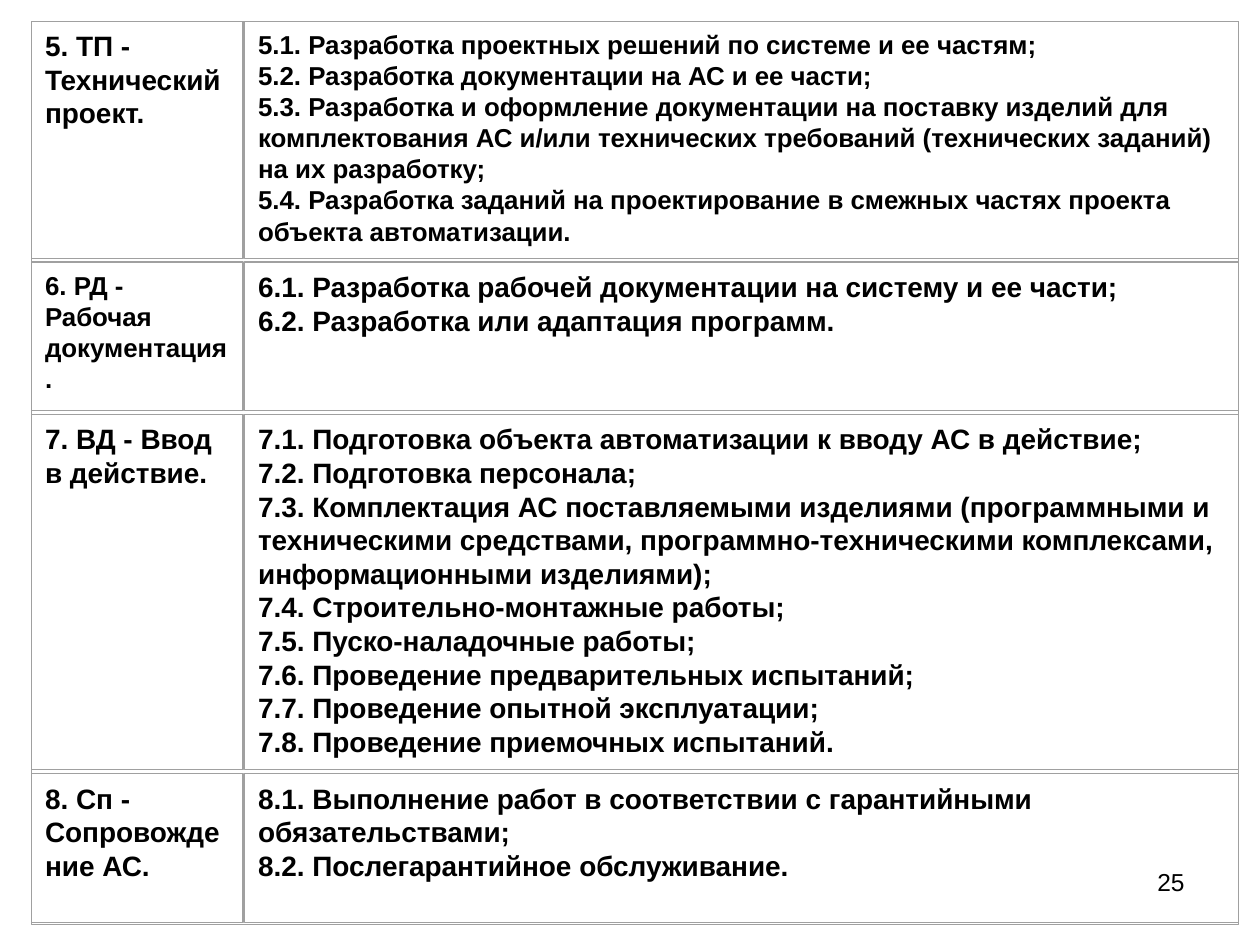
from pptx import Presentation
from pptx.dml.color import RGBColor
from pptx.enum.shapes import MSO_SHAPE
from pptx.enum.text import PP_ALIGN
from pptx.util import Inches, Pt

RECTANGLE = MSO_SHAPE.RECTANGLE
LEFT, RIGHT = PP_ALIGN.LEFT, PP_ALIGN.RIGHT
BLACK = RGBColor(0x00, 0x00, 0x00)
GREY = RGBColor(0xA0, 0xA0, 0xA0)
FONT = "Arial"
BLANK_LAYOUT = 6

# Grid of the stage table, in inches
TABLE_LEFT, TABLE_TOP = 0.25, 0.17
TABLE_WIDTH, TABLE_HEIGHT = 9.58, 7.17
COLUMN_WIDTHS, COLUMN_GAP = (1.68, 7.89), 0.01
ROW_GAP = 0.03
TEXT_INSET = 0.01

# Row height, then text size and lines for each of the two cells
STAGES = [
    (1.88, (16, ["5. ТП - Технический проект."]), (14.8, [
        "5.1. Разработка проектных решений по системе и ее частям;",
        "5.2. Разработка документации на АС и ее части;",
        "5.3. Разработка и оформление документации на поставку изделий для "
        "комплектования АС и/или технических требований (технических заданий) "
        "на их разработку;",
        "5.4. Разработка заданий на проектирование в смежных частях проекта "
        "объекта автоматизации.",
    ])),
    (1.18, (14.8, ["6. РД - Рабочая документация."]), (16, [
        "6.1. Разработка рабочей документации на систему и ее части;",
        "6.2. Разработка или адаптация программ.",
    ])),
    (2.82, (16, ["7. ВД - Ввод в действие."]), (16, [
        "7.1. Подготовка объекта автоматизации к вводу АС в действие;",
        "7.2. Подготовка персонала;",
        "7.3. Комплектация АС поставляемыми изделиями (программными и "
        "техническими средствами, программно-техническими комплексами, "
        "информационными изделиями);",
        "7.4. Строительно-монтажные работы;",
        "7.5. Пуско-наладочные работы;",
        "7.6. Проведение предварительных испытаний;",
        "7.7. Проведение опытной эксплуатации;",
        "7.8. Проведение приемочных испытаний.",
    ])),
    (1.18, (16, ["8. Сп - Сопровождение АС."]), (16, [
        "8.1. Выполнение работ в соответствии с гарантийными обязательствами;",
        "8.2. Послегарантийное обслуживание.",
    ])),
]


def add_text(shapes, area, lines, size, bold=True, align=LEFT):
    """Text box with one paragraph, its lines parted by line breaks."""
    box = shapes.add_textbox(*map(Inches, area))
    box.text_frame.word_wrap = True
    para = box.text_frame.paragraphs[0]
    para.alignment = align
    for index, line in enumerate(lines):
        if index:
            para.add_line_break()
        span = para.add_run()
        span.text = line
        span.font.name = FONT
        span.font.size = Pt(size)
        span.font.bold = bold
        span.font.color.rgb = BLACK


def add_frame(shapes, area, line_width):
    """Unfilled grey outline."""
    frame = shapes.add_shape(RECTANGLE, *map(Inches, area))
    frame.shadow.inherit = False
    frame.fill.background()
    frame.line.color.rgb = GREY
    frame.line.width = Pt(line_width)


def add_cell(shapes, area, size, lines):
    left, top, width, height = area
    text_area = (left + TEXT_INSET, top + TEXT_INSET,
                 width - TEXT_INSET, height - 2 * TEXT_INSET)
    add_text(shapes, text_area, lines, size)
    add_frame(shapes, area, 0)


def add_stage_table(slide):
    """Framed cells with narrow gaps, which give the double rules."""
    shapes = slide.shapes.add_group_shape().shapes
    top = TABLE_TOP
    for height, *cells in STAGES:
        left = TABLE_LEFT
        for width, (size, lines) in zip(COLUMN_WIDTHS, cells):
            add_cell(shapes, (left, top, width, height), size, lines)
            left += width + COLUMN_GAP
        top += height + ROW_GAP
    # Outer border
    add_frame(shapes, (TABLE_LEFT, TABLE_TOP, TABLE_WIDTH, TABLE_HEIGHT), 0.75)


def main():
    deck = Presentation()
    deck.slide_width, deck.slide_height = Inches(10), Inches(7.5)
    slide = deck.slides.add_slide(deck.slide_layouts[BLANK_LAYOUT])
    # Page number
    add_text(slide.shapes, (7.17, 6.83, 2.33, 0.52), ["25"], 14,
             bold=False, align=RIGHT)
    add_stage_table(slide)
    deck.save("out.pptx")


if __name__ == "__main__":
    main()
